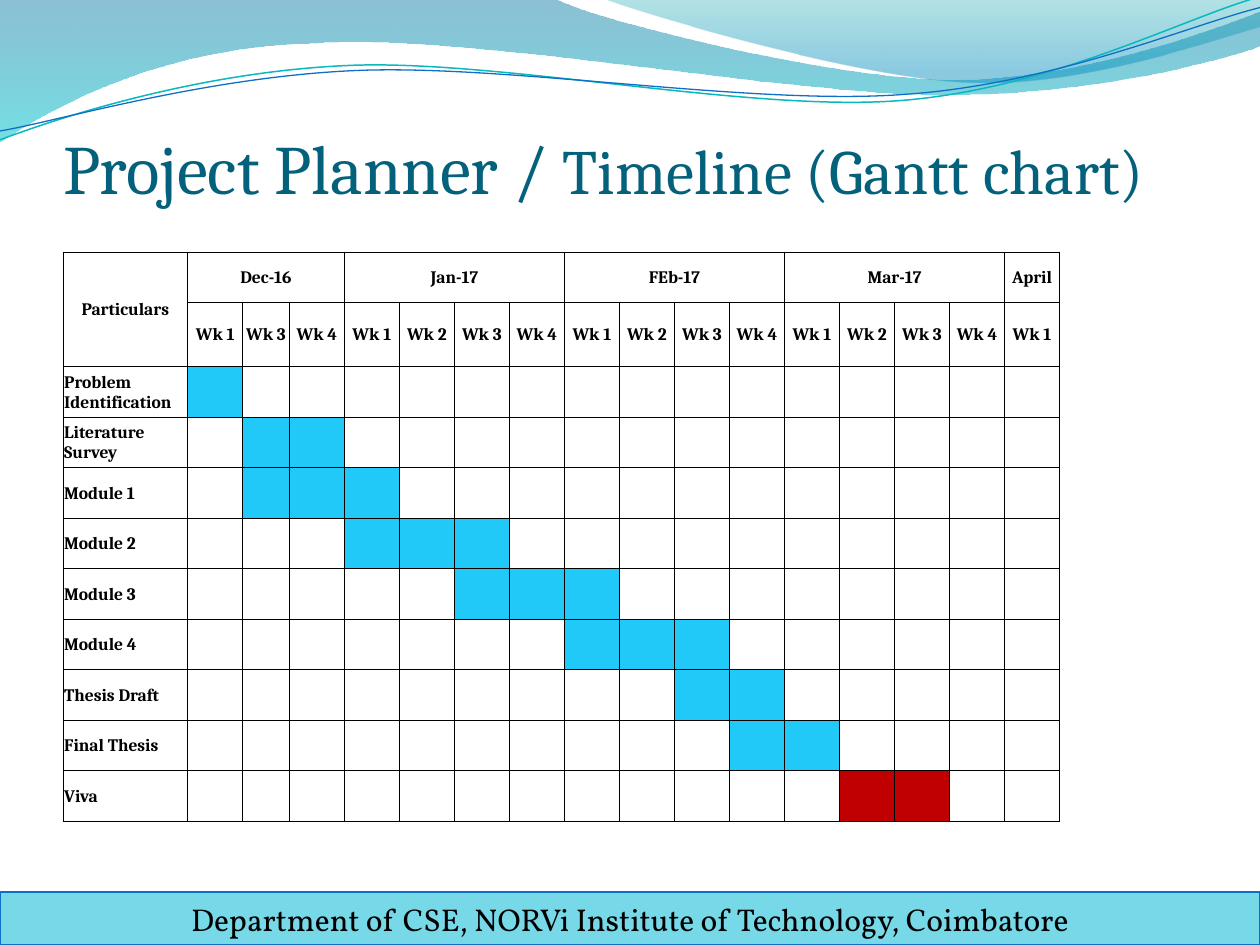
from dataclasses import dataclass
from typing import Optional

import pptx
import pptx.dml.color
import pptx.enum.shapes
import pptx.enum.text
import pptx.oxml
import pptx.oxml.ns
import pptx.util

Inches = pptx.util.Inches
Pt = pptx.util.Pt
RGBColor = pptx.dml.color.RGBColor
PP_ALIGN = pptx.enum.text.PP_ALIGN
MSO_ANCHOR = pptx.enum.text.MSO_ANCHOR
MSO_AUTO_SIZE = pptx.enum.text.MSO_AUTO_SIZE
qn = pptx.oxml.ns.qn

BLACK = RGBColor(0x00, 0x00, 0x00)
TITLE_TEAL = RGBColor(0x04, 0x61, 0x7B)
FOOTER_AQUA = RGBColor(0x77, 0xD9, 0xE8)
EDGE_BLUE = RGBColor(0x0F, 0x6F, 0xC6)
LINE_TEAL = RGBColor(0x0A, 0xB8, 0xBF)
TASK_BLUE = RGBColor(0x20, 0xC9, 0xF8)
VIVA_RED = RGBColor(0xC0, 0x00, 0x00)
HEADING_FONT = "Cambria"
FOOTER_FONT = "Vollkorn"


@dataclass
class Stop:
    position: float
    color: RGBColor
    opacity: int


@dataclass
class Wave:
    """Outline in inches; a segment of two numbers is a line, of six a Bézier curve."""
    start: tuple[float, float]
    segments: list[tuple[float, ...]]
    stops: Optional[list[Stop]] = None
    line: Optional[RGBColor] = None
    line_width: float = 0.75


@dataclass
class Month:
    name: str
    weeks: list[int]


@dataclass
class Task:
    name: str
    first_week: int
    week_count: int
    color: RGBColor = TASK_BLUE


WAVES = [
    Wave((0, 0),
         [(4.4, -0.01), (4.76, 0.17, 6.64, 0.63, 7.58, 0.63),
          (8.53, 0.63, 9.58, 0.26, 10, 0.09), (10.01, 0.36),
          (9.83, 0.44, 8.7, 0.76, 7.46, 0.75), (6.22, 0.75, 3.82, 0.28, 2.57, 0.34),
          (1.29, 0.36, 0.46, 0.83, -0.01, 1.13), (0, 0)],
         stops=[Stop(0, RGBColor(0x00, 0x74, 0xA1), 45),
                Stop(1, RGBColor(0x00, 0xC6, 0xCF), 55)]),
    Wave((4.79, -0.01),
         [(5.09, 0.11, 6.82, 0.62, 7.69, 0.65), (8.56, 0.69, 9.61, 0.32, 10, 0.21),
          (10, 0), (4.79, -0.01)],
         stops=[Stop(0, RGBColor(0x00, 0xA1, 0xA9), 30),
                Stop(0.8, RGBColor(0x00, 0x8B, 0xBF), 45)]),
    Wave((0, 1.11),
         [(0.48, 0.93, 1.58, 0.57, 2.77, 0.52), (3.95, 0.47, 5.93, 0.89, 7.13, 0.8),
          (8.33, 0.71, 9.38, 0.15, 9.98, -0.02)],
         line=LINE_TEAL, line_width=0.85),
    Wave((0, 1.04),
         [(0.47, 0.96, 1.64, 0.61, 2.83, 0.56), (4.03, 0.51, 5.97, 0.84, 7.17, 0.75),
          (8.36, 0.67, 9.41, 0.21, 10, 0.06)],
         line=EDGE_BLUE),
]
MONTHS = [
    Month("Dec-16", [1, 3, 4]),
    Month("Jan-17", [1, 2, 3, 4]),
    Month("FEb-17", [1, 2, 3, 4]),
    Month("Mar-17", [1, 2, 3, 4]),
    Month("April", [1]),
]
TASKS = [
    Task("Problem Identification", 1, 1),
    Task("Literature Survey", 2, 2),
    Task("Module 1", 2, 3),
    Task("Module 2", 4, 3),
    Task("Module 3", 6, 3),
    Task("Module 4", 8, 3),
    Task("Thesis Draft", 10, 2),
    Task("Final Thesis", 11, 2),
    Task("Viva", 13, 2, VIVA_RED),
]
GANTT_WIDTH, GANTT_HEIGHT = 7.91, 4.52
NAME_WIDTH, NARROW_WEEK, WEEK_ROW = 0.99, 0.37, 0.51
WEEK_WIDTH = (GANTT_WIDTH - NAME_WIDTH - NARROW_WEEK) / 15
ROW_HEIGHT = (GANTT_HEIGHT - WEEK_ROW) / (len(TASKS) + 1)


def write(frame, text: str, *, size: float, font: str, color: RGBColor = BLACK,
          bold: bool = False, align=PP_ALIGN.LEFT) -> None:
    """Append a formatted run to the first paragraph of a text frame."""
    paragraph = frame.paragraphs[0]
    paragraph.alignment = align
    run = paragraph.add_run()
    run.text = text
    run.font.size = Pt(size)
    run.font.name = font
    run.font.bold = bold
    run.font.color.rgb = color


def bend(shape, segments: list[tuple[float, ...]]) -> None:
    """Join each three straight steps of a curved segment into one Bézier curve."""
    steps = iter(list(shape.element.iter(qn("a:lnTo"))))
    for segment in segments:
        first, *others = [next(steps) for _ in range(len(segment) // 2)]
        if others:
            curve = first.makeelement(qn("a:cubicBezTo"), {})
            first.addprevious(curve)
            for step in (first, *others):
                curve.append(step[0])
                step.getparent().remove(step)


def draw_wave(slide, wave: Wave) -> None:
    points = [(Inches(x), Inches(y)) for segment in wave.segments
              for x, y in zip(segment[::2], segment[1::2])]
    builder = slide.shapes.build_freeform(*map(Inches, wave.start))
    builder.add_line_segments(points, close=wave.stops is not None)
    shape = builder.convert_to_shape()
    bend(shape, wave.segments)
    shape.shadow.inherit = False
    if wave.stops is None:
        shape.fill.background()
        shape.line.color.rgb = wave.line
        shape.line.width = Pt(wave.line_width)
        return
    shape.line.fill.background()
    shape.fill.gradient()
    shape.fill.gradient_angle = 270
    for target, stop in zip(shape.fill.gradient_stops, wave.stops):
        target.position = stop.position
        target.color.rgb = stop.color
    for color, stop in zip(shape.element.spPr.iter(qn("a:srgbClr")), wave.stops):
        color.append(color.makeelement(qn("a:alpha"), {"val": str(stop.opacity * 1000)}))


def format_cell(cell) -> None:
    cell.fill.background()
    cell.vertical_anchor = MSO_ANCHOR.MIDDLE
    cell.margin_left = cell.margin_right = cell.margin_top = Inches(0.01)
    cell.margin_bottom = 0
    properties = cell._tc.get_or_add_tcPr()
    for index, side in enumerate(("lnL", "lnR", "lnT", "lnB")):
        properties.insert(index, pptx.oxml.parse_xml(
            f'<a:{side} xmlns:a="http://schemas.openxmlformats.org/drawingml/2006/main"'
            f' w="{Pt(0.5)}"><a:solidFill><a:srgbClr val="{BLACK}"/></a:solidFill></a:{side}>'))


def label(cell, text: str, align=PP_ALIGN.CENTER) -> None:
    write(cell.text_frame, text, size=10, font=HEADING_FONT, bold=True, align=align)


def draw_gantt(slide) -> None:
    widths = [NAME_WIDTH, WEEK_WIDTH, NARROW_WEEK] + [WEEK_WIDTH] * 14
    heights = [ROW_HEIGHT, WEEK_ROW] + [ROW_HEIGHT] * len(TASKS)
    gantt = slide.shapes.add_table(len(heights), len(widths), Inches(0.5), Inches(2),
                                   Inches(GANTT_WIDTH), Inches(GANTT_HEIGHT)).table
    gantt.first_row = gantt.horz_banding = False
    for column, width in zip(gantt.columns, widths):
        column.width = Inches(width)
    for row, height in zip(gantt.rows, heights):
        row.height = Inches(height)
    for cell in gantt.iter_cells():
        format_cell(cell)

    gantt.cell(0, 0).merge(gantt.cell(1, 0))
    label(gantt.cell(0, 0), "Particulars")
    first = 1
    for month in MONTHS:
        last = first + len(month.weeks) - 1
        if last > first:
            gantt.cell(0, first).merge(gantt.cell(0, last))
        label(gantt.cell(0, first), month.name)
        for column, week in enumerate(month.weeks, first):
            label(gantt.cell(1, column), f"Wk {week}")
        first = last + 1

    for row, task in enumerate(TASKS, 2):
        label(gantt.cell(row, 0), task.name, PP_ALIGN.LEFT)
        for column in range(task.first_week, task.first_week + task.week_count):
            bar = gantt.cell(row, column).fill
            bar.solid()
            bar.fore_color.rgb = task.color


def place_title(slide) -> None:
    title = slide.shapes.title
    title.left, title.top, title.width, title.height = map(Inches, (0.5, 0.92, 9, 0.73))
    slide.shapes.element.append(title.element)  # in front of the waves
    frame = title.text_frame
    frame.word_wrap = True
    frame.auto_size = MSO_AUTO_SIZE.NONE
    frame.vertical_anchor = MSO_ANCHOR.BOTTOM
    frame.margin_left = frame.margin_right = frame.margin_bottom = 0
    frame.margin_top = Inches(0.05)
    for text, size in (("Project Planner / ", 39.6), ("Timeline (Gantt chart)", 36)):
        write(frame, text, size=size, font=HEADING_FONT, color=TITLE_TEAL)


def draw_footer(slide) -> None:
    footer = slide.shapes.add_shape(pptx.enum.shapes.MSO_SHAPE.RECTANGLE, 0, Inches(7.08),
                                    Inches(10), Inches(0.42))
    footer.shadow.inherit = False
    footer.fill.solid()
    footer.fill.fore_color.rgb = FOOTER_AQUA
    footer.line.color.rgb = EDGE_BLUE
    footer.line.width = Pt(0.75)
    footer.text_frame.word_wrap = True
    footer.text_frame.auto_size = MSO_AUTO_SIZE.SHAPE_TO_FIT_TEXT
    write(footer.text_frame, "Department of CSE, NORVi Institute of Technology, Coimbatore",
          size=18, font=FOOTER_FONT, align=PP_ALIGN.CENTER)


def main() -> None:
    deck = pptx.Presentation()
    deck.slide_width, deck.slide_height = Inches(10), Inches(7.5)
    slide = deck.slides.add_slide(deck.slide_layouts[5])
    for wave in WAVES:
        draw_wave(slide, wave)
    place_title(slide)
    draw_footer(slide)
    draw_gantt(slide)
    deck.save("out.pptx")


if __name__ == "__main__":
    main()
